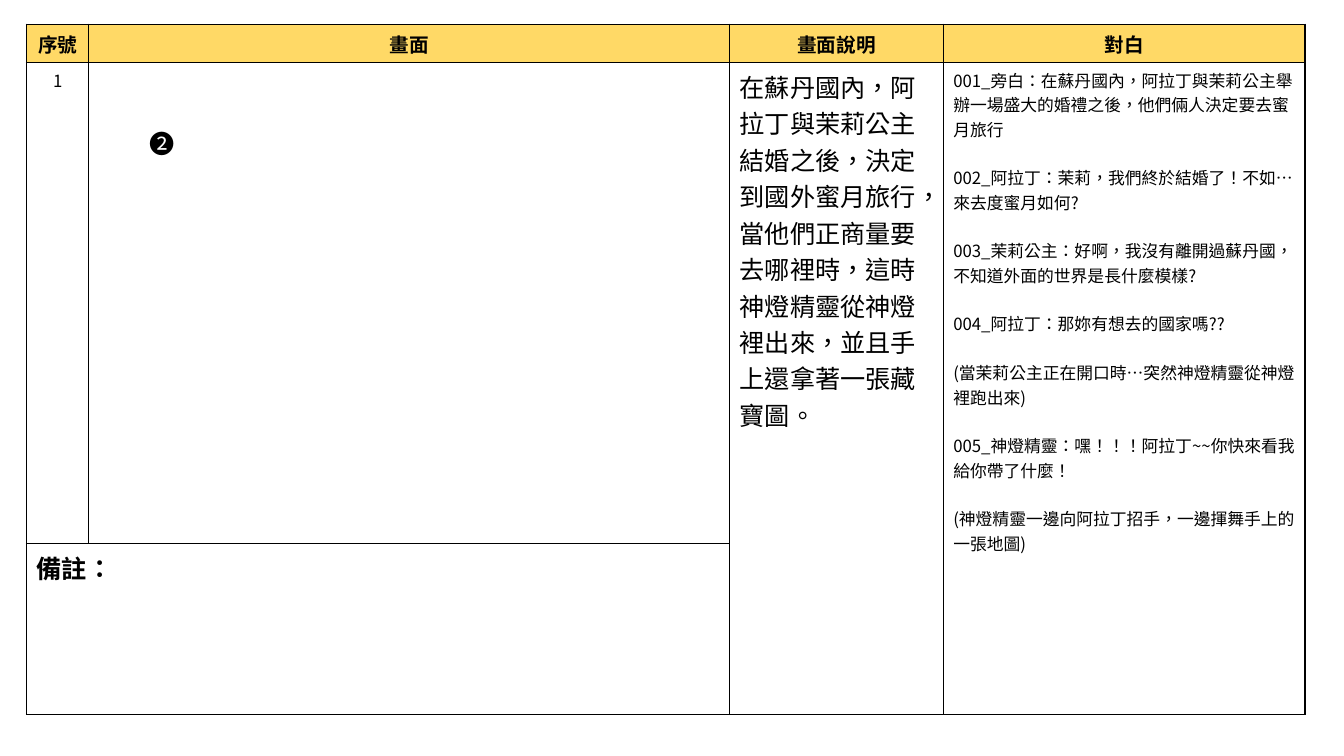
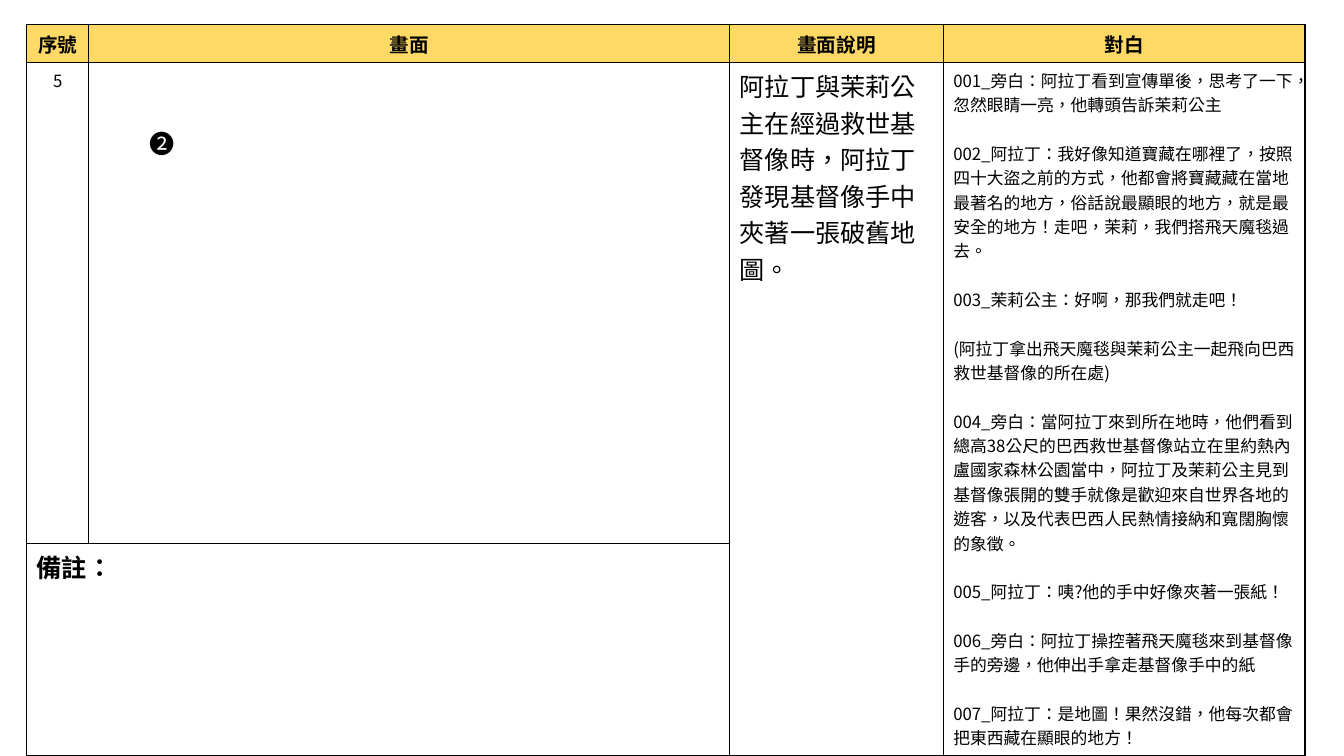
from dataclasses import dataclass

from lxml.etree import SubElement
from pptx import Presentation
from pptx.dml.color import RGBColor
from pptx.enum.text import MSO_AUTO_SIZE, PP_ALIGN
from pptx.oxml.ns import qn
from pptx.slide import Slide
from pptx.table import Table, _Cell
from pptx.text.text import TextFrame
from pptx.util import Cm, Pt

# Shared look
FONT = "Noto Sans CJK SC"
LANGUAGE = "zh-TW"
INK = "000000"
HEADER_FILL = "FFD966"
HEADINGS = ["序號", "畫面", "畫面說明", "對白"]
COLUMN_WIDTHS = [1.57, 16.15, 5.38, 9.12]
HEADER_HEIGHT = 0.97
PICTURE_HEIGHT = 12.12
DIALOGUE_GAP = 17.4


@dataclass
class Scene:
    number: int
    remarks_height: float
    description: str
    dialogue: list[str]


SCENES = [
    Scene(
        1,
        4.29,
        "在蘇丹國內，阿拉丁與茉莉公主結婚之後，決定到國外蜜月旅行，當他們正商量要去哪裡時，"
        "這時神燈精靈從神燈裡出來，並且手上還拿著一張藏寶圖。",
        [
            "001_旁白：在蘇丹國內，阿拉丁與茉莉公主舉辦一場盛大的婚禮之後，他們倆人決定要去蜜月旅行",
            "002_阿拉丁：茉莉，我們終於結婚了！不如…來去度蜜月如何?",
            "003_茉莉公主：好啊，我沒有離開過蘇丹國，不知道外面的世界是長什麼模樣?",
            "004_阿拉丁：那妳有想去的國家嗎??",
            "(當茉莉公主正在開口時…突然神燈精靈從神燈裡跑出來)",
            "005_神燈精靈：嘿！！！阿拉丁~~你快來看我給你帶了什麼！",
            "(神燈精靈一邊向阿拉丁招手，一邊揮舞手上的一張地圖)",
        ],
    ),
    # The long dialogue needs a taller last row, down to the page edge
    Scene(
        5,
        5.35,
        "阿拉丁與茉莉公主在經過救世基督像時，阿拉丁發現基督像手中夾著一張破舊地圖。",
        [
            "001_旁白：阿拉丁看到宣傳單後，思考了一下，忽然眼睛一亮，他轉頭告訴茉莉公主",
            "002_阿拉丁：我好像知道寶藏在哪裡了，按照四十大盜之前的方式，他都會將寶藏藏在當地最著名的地方，"
            "俗話說最顯眼的地方，就是最安全的地方！走吧，茉莉，我們搭飛天魔毯過去。",
            "003_茉莉公主：好啊，那我們就走吧！",
            "(阿拉丁拿出飛天魔毯與茉莉公主一起飛向巴西救世基督像的所在處)",
            "004_旁白：當阿拉丁來到所在地時，他們看到總高38公尺的巴西救世基督像站立在里約熱內盧國家森林公園當中，"
            "阿拉丁及茉莉公主見到基督像張開的雙手就像是歡迎來自世界各地的遊客，"
            "以及代表巴西人民熱情接納和寬闊胸懷的象徵。",
            "005_阿拉丁：咦?他的手中好像夾著一張紙！",
            "006_旁白：阿拉丁操控著飛天魔毯來到基督像手的旁邊，他伸出手拿走基督像手中的紙",
            "007_阿拉丁：是地圖！果然沒錯，他每次都會把東西藏在顯眼的地方！",
        ],
    ),
]


def color(value: str) -> RGBColor:
    return RGBColor.from_string(value)


def write(frame: TextFrame, *texts: str, size: float = 12, bold: bool = False,
          align: PP_ALIGN = PP_ALIGN.LEFT, gap: float = 0) -> None:
    """Write one paragraph per text, with a gap between paragraphs."""
    for index, text in enumerate(texts):
        para = frame.add_paragraph() if index else frame.paragraphs[0]
        para.alignment = align
        para.space_before = Pt(gap if index else 0)
        span = para.add_run()
        span.text = text
        span.font.size = Pt(size)
        span.font.bold = bold
        span.font.color.rgb = color(INK)
        span.font.name = FONT
        # Traditional Chinese centres its punctuation marks
        properties = span.font._element
        properties.set("lang", LANGUAGE)
        SubElement(properties, qn("a:ea"), typeface=FONT)


def style_cell(cell: _Cell, fill: str | None = None) -> None:
    """Give a cell a thin border on each side, then its fill."""
    properties = cell._tc.get_or_add_tcPr()
    for side in ("lnL", "lnR", "lnT", "lnB"):
        line = SubElement(properties, qn(f"a:{side}"), w=str(Pt(1)))
        solid = SubElement(line, qn("a:solidFill"))
        SubElement(solid, qn("a:srgbClr"), val=INK)
    if fill:
        cell.fill.solid()
        cell.fill.fore_color.rgb = color(fill)
    else:
        cell.fill.background()


def add_grid(page: Slide, remarks_height: float) -> Table:
    heights = [HEADER_HEIGHT, PICTURE_HEIGHT, remarks_height]
    table = page.shapes.add_table(
        len(heights), len(COLUMN_WIDTHS), Cm(0.67), Cm(0.61),
        Cm(sum(COLUMN_WIDTHS)), Cm(sum(heights))).table
    table.first_row = table.horz_banding = False
    for column, width in zip(table.columns, COLUMN_WIDTHS):
        column.width = Cm(width)
    for index, (row, height) in enumerate(zip(table.rows, heights)):
        row.height = Cm(height)
        for cell in row.cells:
            style_cell(cell, None if index else HEADER_FILL)
    # Description and dialogue run down beside the remarks
    for column in (2, 3):
        table.cell(1, column).merge(table.cell(2, column))
    table.cell(2, 0).merge(table.cell(2, 1))
    return table


def add_scene(page: Slide, scene: Scene) -> None:
    table = add_grid(page, scene.remarks_height)
    for column, heading in enumerate(HEADINGS):
        write(table.cell(0, column).text_frame, heading, size=14, bold=True,
              align=PP_ALIGN.CENTER)
    write(table.cell(1, 0).text_frame, str(scene.number), align=PP_ALIGN.CENTER)
    write(table.cell(1, 2).text_frame, scene.description, size=18)
    write(table.cell(1, 3).text_frame, *scene.dialogue, gap=DIALOGUE_GAP)
    write(table.cell(2, 0).text_frame, "備註：", size=18, bold=True)

    # Marker in the picture area
    box = page.shapes.add_textbox(Cm(3.51), Cm(3.1), Cm(1.09), Cm(1.02))
    box.text_frame.word_wrap = False
    box.text_frame.auto_size = MSO_AUTO_SIZE.SHAPE_TO_FIT_TEXT
    write(box.text_frame, "❷", size=18)


def main() -> None:
    deck = Presentation()
    deck.slide_width, deck.slide_height = Cm(33.87), Cm(19.05)
    for scene in SCENES:
        add_scene(deck.slides.add_slide(deck.slide_layouts[6]), scene)
    deck.save("out.pptx")


if __name__ == "__main__":
    main()
